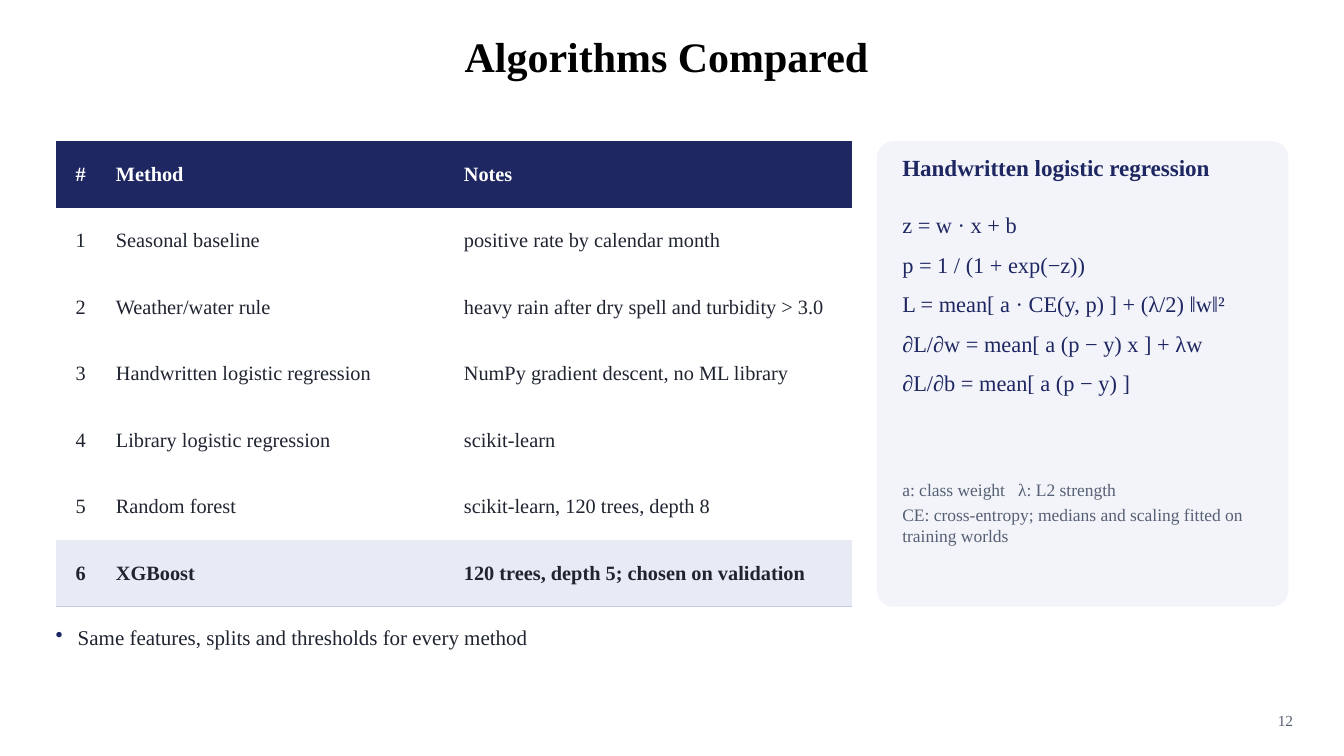
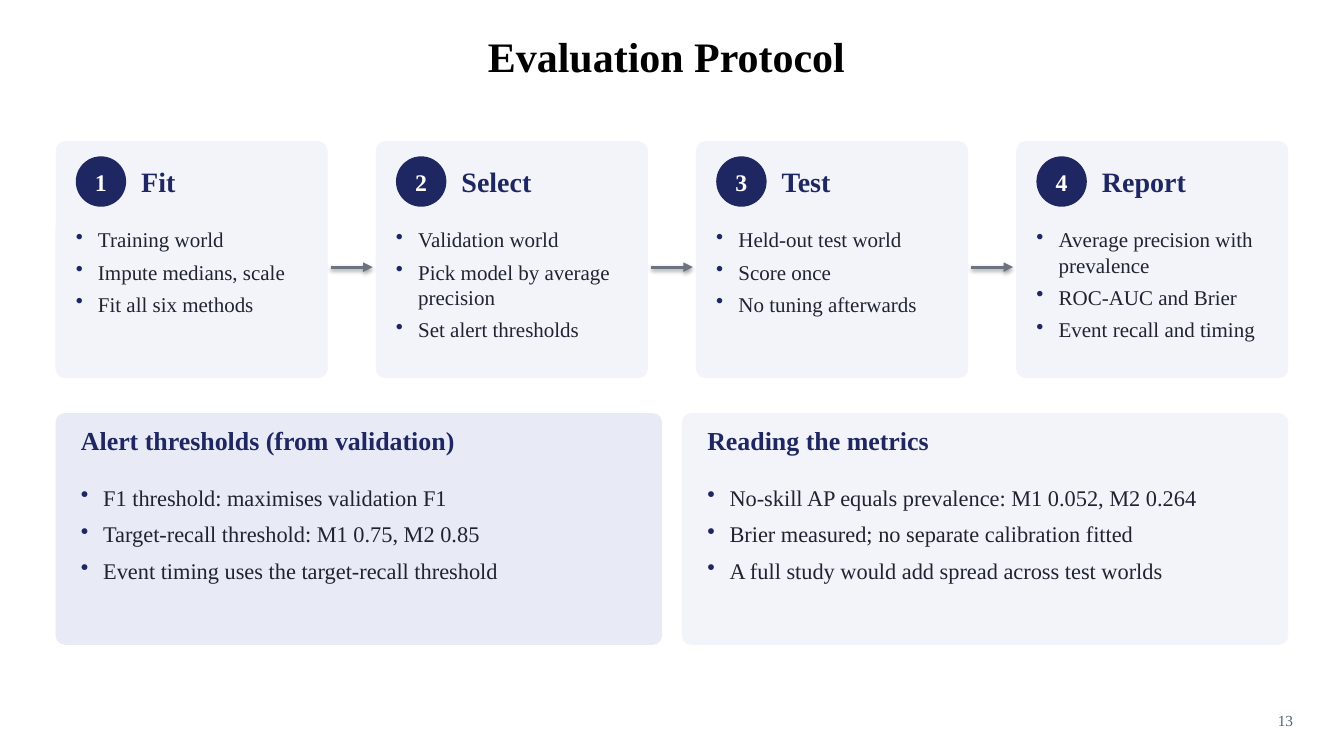
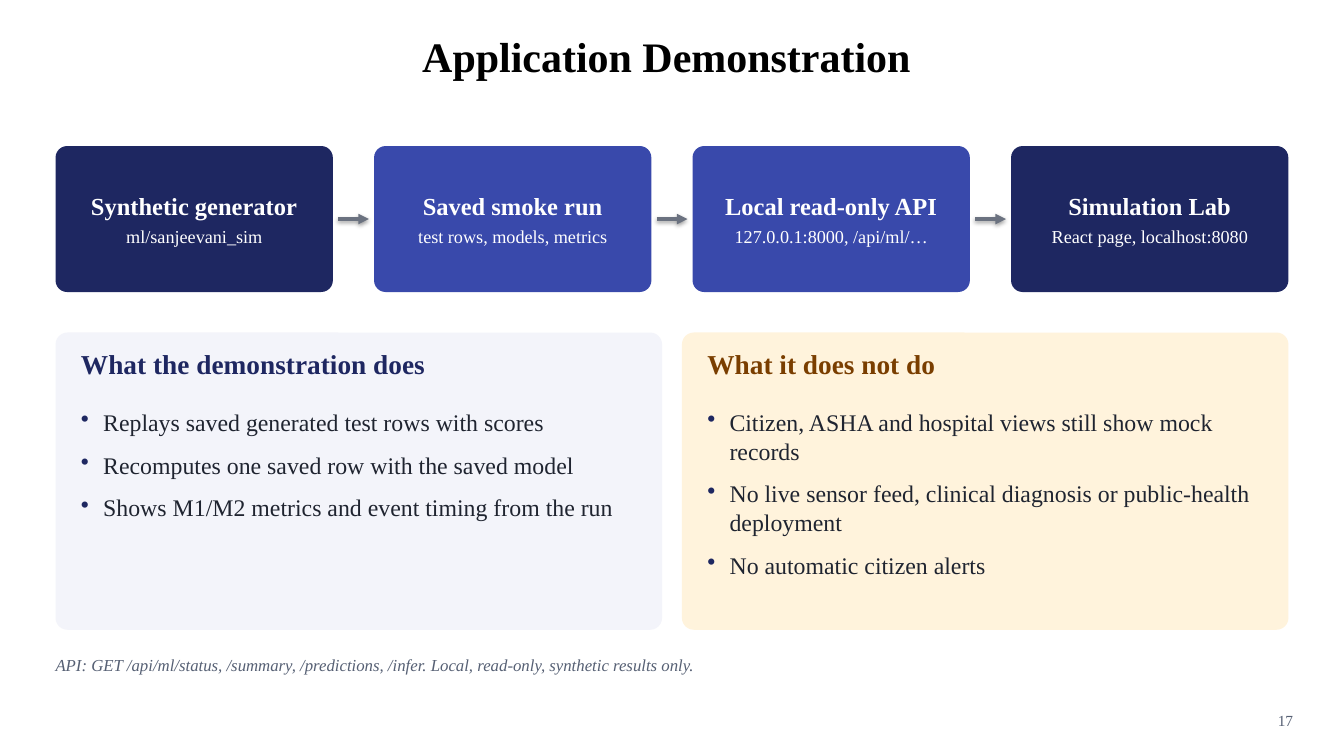
from dataclasses import dataclass, replace
from typing import NamedTuple

from lxml import etree
from pptx import Presentation
from pptx.dml.color import RGBColor
from pptx.enum.shapes import MSO_CONNECTOR, MSO_SHAPE
from pptx.enum.text import MSO_ANCHOR, PP_ALIGN
from pptx.oxml.ns import qn
from pptx.util import Cm, Pt

LEFT, CENTER, RIGHT = PP_ALIGN.LEFT, PP_ALIGN.CENTER, PP_ALIGN.RIGHT
TOP, MIDDLE = MSO_ANCHOR.TOP, MSO_ANCHOR.MIDDLE
ROUNDED, OVAL = MSO_SHAPE.ROUNDED_RECTANGLE, MSO_SHAPE.OVAL
STRAIGHT = MSO_CONNECTOR.STRAIGHT


@dataclass(frozen=True)
class Style:
    size: float
    color: str
    bold: bool = False
    italic: bool = False


@dataclass(frozen=True)
class Theme:
    font: str = "Times New Roman"
    navy: str = "1E2761"
    indigo: str = "3949AB"
    white: str = "FFFFFF"
    ink: str = "1F2430"
    pale: str = "F3F4FA"
    lavender: str = "E8EAF6"
    cream: str = "FFF3DC"
    brown: str = "7A3E00"
    rule: str = "C5CAE9"
    arrow: str = "6B7280"
    title: Style = Style(30, "000000", bold=True)
    page: Style = Style(11, "566074")
    table_head: Style = Style(14.5, "FFFFFF", bold=True)
    table_body: Style = Style(14.5, "1F2430")
    formula: Style = Style(16, "1E2761")
    legend: Style = Style(12.5, "566074")
    bullet: Style = Style(15, "1F2430")
    step: Style = Style(20, "1E2761", bold=True)
    badge: Style = Style(17, "FFFFFF", bold=True)
    node: Style = Style(17.5, "FFFFFF", bold=True)
    node_detail: Style = Style(13, "FFFFFF")
    footnote: Style = Style(12, "566074", italic=True)


THEME = Theme()


class Box(NamedTuple):
    """A rectangle in centimetres."""
    left: float
    top: float
    width: float
    height: float


class Step(NamedTuple):
    name: str
    bullets: list[str]


class Node(NamedTuple):
    name: str
    detail: str
    fill: str


class Panel(NamedTuple):
    heading: str
    bullets: list[str]
    fill: str
    heading_color: str = THEME.navy


@dataclass(frozen=True)
class PanelLook:
    heading_size: float
    body_size: float
    after: float
    pad_top: float
    body_top: float


LEFT_EDGE, CONTENT_WIDTH = 1.4, 31.07
CONTENT_TOP = 3.56
PANEL_PAD = 0.64
PANEL_GAP = 0.5
BULLET_INDENT = 0.56


def rgb(color: str) -> RGBColor:
    return RGBColor.from_string(color)


def columns(count: int, width: float) -> list[float]:
    """Left edges of equal columns spread over the content width."""
    pitch = (CONTENT_WIDTH - width) / (count - 1)
    return [LEFT_EDGE + i * pitch for i in range(count)]


def write(p, text: str, style: Style, align=LEFT, after: float = 0,
          bullet: bool = False, tab: float = 0) -> None:
    p.text = text
    p.alignment = align
    pPr = p._p.get_or_add_pPr()
    if bullet:
        pPr.set("marL", str(Cm(BULLET_INDENT)))
        pPr.set("indent", str(-Cm(BULLET_INDENT)))
        color = etree.SubElement(pPr, qn("a:buClr"))
        etree.SubElement(color, qn("a:srgbClr"), val=THEME.navy)
        etree.SubElement(pPr, qn("a:buChar"), char="•")
    if tab:
        tabs = etree.SubElement(pPr, qn("a:tabLst"))
        etree.SubElement(tabs, qn("a:tab"), pos=str(Cm(tab)), algn="l")
    if after:
        p.space_after = Pt(after)
    for r in p.runs:
        r.font.name = THEME.font
        r.font.size = Pt(style.size)
        r.font.bold = style.bold
        r.font.italic = style.italic
        r.font.color.rgb = rgb(style.color)


def set_frame(tf, anchor, side: float = 0, ends: float = 0) -> None:
    tf.word_wrap = True
    tf.vertical_anchor = anchor
    tf.margin_left = tf.margin_right = Cm(side)
    tf.margin_top = tf.margin_bottom = Cm(ends)


def add_text(s, box: Box, lines: list[str], style: Style, anchor=TOP, **layout) -> None:
    tf = s.shapes.add_textbox(*map(Cm, box)).text_frame
    set_frame(tf, anchor)
    for i, line in enumerate(lines):
        p = tf.add_paragraph() if i else tf.paragraphs[0]
        write(p, line, style, **layout)


def add_filled(s, kind, box: Box, fill: str, rounding: float | None = None):
    sp = s.shapes.add_shape(kind, *map(Cm, box))
    sp.shadow.inherit = False
    sp.fill.solid()
    sp.fill.fore_color.rgb = rgb(fill)
    sp.line.fill.background()
    if rounding is not None:
        sp.adjustments[0] = rounding
    return sp


def add_arrows(s, lefts: list[float], width: float, y: float, inset: float, weight: float) -> None:
    """Draw an arrow in each gap between neighbouring columns."""
    for left, following in zip(lefts, lefts[1:]):
        line = s.shapes.add_connector(STRAIGHT, Cm(left + width + inset), Cm(y),
                                      Cm(following - inset), Cm(y)).line
        line.color.rgb = rgb(THEME.arrow)
        line.width = Pt(weight)
        etree.SubElement(line._get_or_add_ln(), qn("a:tailEnd"), type="triangle")


def add_slide(prs, title: str, number: int):
    s = prs.slides.add_slide(prs.slide_layouts[6])
    add_text(s, Box(5.84, 0.51, 21.92, 1.78), [title], THEME.title, MIDDLE, align=CENTER)
    add_text(s, Box(31.32, 17.91, 1.27, 0.64), [str(number)], THEME.page, align=RIGHT)
    return s


def add_headed_card(s, box: Box, fill: str, heading: str, style: Style, pad_top: float) -> None:
    add_filled(s, ROUNDED, box, fill, 0.04)
    add_text(s, Box(box.left + PANEL_PAD, box.top + pad_top, box.width - 1.0, 1.02),
             [heading], style)


def add_panels(s, panels: list[Panel], top: float, height: float, look: PanelLook) -> None:
    width = (CONTENT_WIDTH - PANEL_GAP) / 2
    for left, panel in zip(columns(len(panels), width), panels):
        box = Box(left, top, width, height)
        heading = Style(look.heading_size, panel.heading_color, bold=True)
        add_headed_card(s, box, panel.fill, panel.heading, heading, look.pad_top)
        body = Box(left + PANEL_PAD, top + look.body_top,
                   width - 2 * PANEL_PAD, height - look.body_top - 0.25)
        add_text(s, body, panel.bullets, replace(THEME.bullet, size=look.body_size),
                 after=look.after, bullet=True)


def add_table(s, box: Box, widths: list[float], rows: list[tuple[str, ...]]) -> None:
    """Table with a dark first row and a highlighted, underlined last row."""
    table = s.shapes.add_table(len(rows), len(widths), *map(Cm, box)).table
    no_grid = "{2D5ABB26-0587-4C30-8999-92F81FD0307C}"
    table._tbl.tblPr.find(qn("a:tableStyleId")).text = no_grid
    for column, width in zip(table.columns, widths):
        column.width = Cm(width)
    last = len(rows) - 1
    looks = {0: (THEME.navy, THEME.table_head),
             last: (THEME.lavender, replace(THEME.table_body, bold=True))}
    for i, row in enumerate(rows):
        table.rows[i].height = Cm(box.height / len(rows))
        fill, style = looks.get(i, (THEME.white, THEME.table_body))
        for j, text in enumerate(row):
            cell = table.cell(i, j)
            cell.vertical_anchor = MIDDLE
            cell.margin_left = cell.margin_right = Cm(0.25)
            cell.margin_top = cell.margin_bottom = Cm(0.1)
            write(cell.text_frame.paragraphs[0], text, style, LEFT if j else CENTER)
            if i == last:
                border = etree.SubElement(cell._tc.get_or_add_tcPr(), qn("a:lnB"), w=str(Pt(0.75)))
                solid = etree.SubElement(border, qn("a:solidFill"))
                etree.SubElement(solid, qn("a:srgbClr"), val=THEME.rule)
            cell.fill.solid()
            cell.fill.fore_color.rgb = rgb(fill)


def add_steps(s, steps: list[Step]) -> None:
    width, pad = 6.86, 0.51
    lefts = columns(len(steps), width)
    for number, (left, step) in enumerate(zip(lefts, steps), 1):
        add_filled(s, ROUNDED, Box(left, CONTENT_TOP, width, 5.97), THEME.pale, 0.04)
        badge = add_filled(s, OVAL, Box(left + pad, 3.94, 1.27, 1.27), THEME.navy)
        set_frame(badge.text_frame, MIDDLE, 0, 0.13)
        write(badge.text_frame.paragraphs[0], str(number), THEME.badge, CENTER)
        add_text(s, Box(left + 2.16, 3.94, 4.32, 1.27), [step.name], THEME.step, MIDDLE)
        add_text(s, Box(left + pad, 5.72, width - 2 * pad, 3.81), step.bullets,
                 THEME.bullet, after=5, bullet=True)
    add_arrows(s, lefts, width, 6.73, 0.08, 2.25)


def add_nodes(s, nodes: list[Node]) -> None:
    width, top, height = 6.99, 3.68, 3.68
    lefts = columns(len(nodes), width)
    for left, node in zip(lefts, nodes):
        tf = add_filled(s, ROUNDED, Box(left, top, width, height), node.fill, 0.08).text_frame
        set_frame(tf, MIDDLE, 0.3, 0.13)
        write(tf.paragraphs[0], node.name, THEME.node, CENTER, after=4)
        write(tf.add_paragraph(), node.detail, THEME.node_detail, CENTER)
    add_arrows(s, lefts, width, top + height / 2, 0.13, 2.5)


def build_algorithms(prs) -> None:
    s = add_slide(prs, "Algorithms Compared", 12)
    add_table(s, Box(LEFT_EDGE, CONTENT_TOP, 20.07, 11.73), [1.27, 8.77, 10.03], [
        ("#", "Method", "Notes"),
        ("1", "Seasonal baseline", "positive rate by calendar month"),
        ("2", "Weather/water rule", "heavy rain after dry spell and turbidity > 3.0"),
        ("3", "Handwritten logistic regression", "NumPy gradient descent, no ML library"),
        ("4", "Library logistic regression", "scikit-learn"),
        ("5", "Random forest", "scikit-learn, 120 trees, depth 8"),
        ("6", "XGBoost", "120 trees, depth 5; chosen on validation"),
    ])
    card = Box(22.1, CONTENT_TOP, 10.37, 11.73)
    add_headed_card(s, card, THEME.pale, "Handwritten logistic regression",
                    Style(16.5, THEME.navy, bold=True), 0.3)
    text_left = card.left + PANEL_PAD
    add_text(s, Box(text_left, 5.33, 9.27, 6.86), [
        "z = w · x + b",
        "p = 1 / (1 + exp(−z))",
        "L = mean[ a · CE(y, p) ] + (λ/2) ‖w‖²",
        "∂L/∂w = mean[ a (p − y) x ] + λw",
        "∂L/∂b = mean[ a (p − y) ]",
    ], THEME.formula, after=9)
    add_text(s, Box(text_left, 12.07, 9.27, 3.05), [
        "a: class weight\tλ: L2 strength",
        "CE: cross-entropy; medians and scaling fitted on training worlds",
    ], THEME.legend, after=3, tab=2.92)
    add_text(s, Box(LEFT_EDGE, 15.75, CONTENT_WIDTH, 1.52),
             ["Same features, splits and thresholds for every method"],
             THEME.bullet, bullet=True)


def build_protocol(prs) -> None:
    s = add_slide(prs, "Evaluation Protocol", 13)
    add_steps(s, [
        Step("Fit", ["Training world", "Impute medians, scale", "Fit all six methods"]),
        Step("Select", ["Validation world", "Pick model by average precision",
                        "Set alert thresholds"]),
        Step("Test", ["Held-out test world", "Score once", "No tuning afterwards"]),
        Step("Report", ["Average precision with prevalence", "ROC-AUC and Brier",
                        "Event recall and timing"]),
    ])
    add_panels(s, [
        Panel("Alert thresholds (from validation)", [
            "F1 threshold: maximises validation F1",
            "Target-recall threshold: M1 0.75, M2 0.85",
            "Event timing uses the target-recall threshold",
        ], THEME.lavender),
        Panel("Reading the metrics", [
            "No-skill AP equals prevalence: M1 0.052, M2 0.264",
            "Brier measured; no separate calibration fitted",
            "A full study would add spread across test worlds",
        ], THEME.pale),
    ], 10.41, 5.84, PanelLook(18.5, 16, after=7, pad_top=0.3, body_top=1.78))


def build_demonstration(prs) -> None:
    s = add_slide(prs, "Application Demonstration", 17)
    add_nodes(s, [
        Node("Synthetic generator", "ml/sanjeevani_sim", THEME.navy),
        Node("Saved smoke run", "test rows, models, metrics", THEME.indigo),
        Node("Local read-only API", "127.0.0.1:8000, /api/ml/…", THEME.indigo),
        Node("Simulation Lab", "React page, localhost:8080", THEME.navy),
    ])
    add_panels(s, [
        Panel("What the demonstration does", [
            "Replays saved generated test rows with scores",
            "Recomputes one saved row with the saved model",
            "Shows M1/M2 metrics and event timing from the run",
        ], THEME.pale),
        Panel("What it does not do", [
            "Citizen, ASHA and hospital views still show mock records",
            "No live sensor feed, clinical diagnosis or public-health deployment",
            "No automatic citizen alerts",
        ], THEME.cream, THEME.brown),
    ], 8.38, 7.49, PanelLook(19.5, 17, after=10, pad_top=0.38, body_top=1.9))
    add_text(s, Box(LEFT_EDGE, 16.51, CONTENT_WIDTH, 0.76), [
        "API: GET /api/ml/status, /summary, /predictions, /infer. "
        "Local, read-only, synthetic results only.",
    ], THEME.footnote)


def main() -> None:
    prs = Presentation()
    prs.slide_width, prs.slide_height = Cm(33.87), Cm(19.05)
    build_algorithms(prs)
    build_protocol(prs)
    build_demonstration(prs)
    prs.save("out.pptx")


if __name__ == "__main__":
    main()
